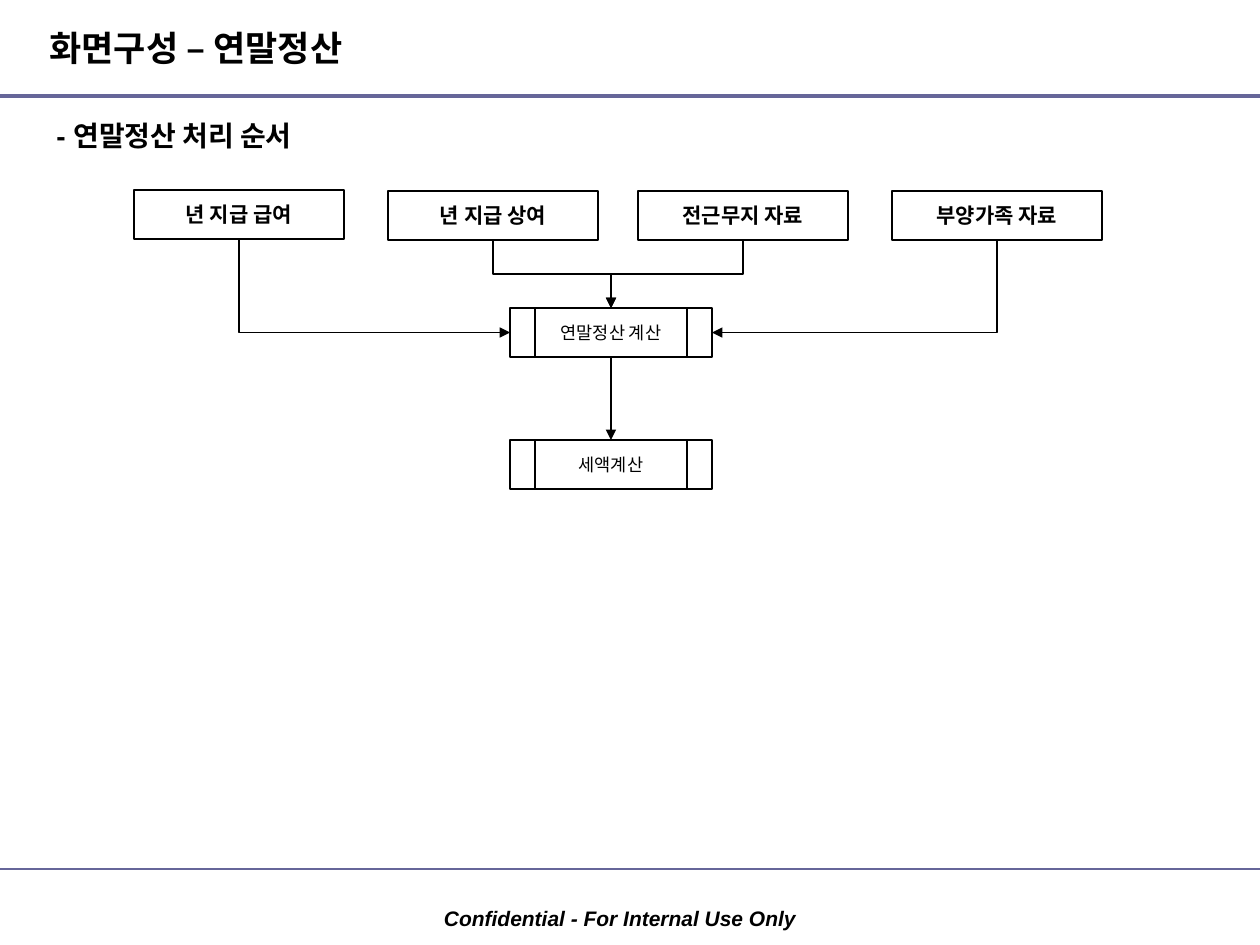
from dataclasses import dataclass

from lxml.etree import SubElement
from pptx import Presentation
from pptx.dml.color import RGBColor
from pptx.enum.shapes import MSO_CONNECTOR as Link, MSO_SHAPE as Preset
from pptx.enum.text import MSO_ANCHOR as Anchor, PP_ALIGN as Align
from pptx.oxml.ns import qn
from pptx.util import Emu, Pt

BLACK = RGBColor(0x00, 0x00, 0x00)
WHITE = RGBColor(0xFF, 0xFF, 0xFF)
RULE_PURPLE = RGBColor(0x66, 0x66, 0x99)
LATIN, KOREAN = "Arial", "Noto Sans CJK KR"
SLIDE_W, SLIDE_H = 1260, 945
TOP, LEFT, BOTTOM, RIGHT = range(4)  # connection sites of a box


def px(length: int) -> Emu:
    return Emu(round(length * 914400 / 126))


@dataclass(frozen=True)
class Label:
    text: str
    size: int
    font: str = LATIN
    bold: bool = True
    italic: bool = False


@dataclass(frozen=True)
class Area:
    left: int
    top: int
    width: int
    height: int

    def emu(self) -> tuple[Emu, ...]:
        return tuple(px(v) for v in (self.left, self.top, self.width, self.height))


@dataclass(frozen=True)
class Step:
    label: Label
    area: Area
    preset: Preset


@dataclass(frozen=True)
class Flow:
    source: str
    source_site: int
    target: str
    target_site: int
    geometry: str


def write(paragraph, label: Label) -> None:
    run = paragraph.add_run()
    run.text = label.text
    font = run.font
    font.name, font.size = label.font, Pt(label.size)
    font.bold, font.italic = label.bold, label.italic
    font.color.rgb = BLACK
    SubElement(font._element, qn("a:ea")).set("typeface", KOREAN)


def add_text(slide, area: Area, label: Label, anchor=Anchor.TOP):
    frame = slide.shapes.add_textbox(*area.emu()).text_frame
    frame.word_wrap = True
    frame.vertical_anchor = anchor
    write(frame.paragraphs[0], label)
    return frame


def add_step(slide, step: Step):
    box = slide.shapes.add_shape(step.preset, *step.area.emu())
    box.shadow.inherit = False
    box.fill.solid()
    box.fill.fore_color.rgb = WHITE
    box.line.color.rgb, box.line.width = BLACK, Pt(1)
    frame = box.text_frame
    frame.word_wrap = False
    frame.vertical_anchor = Anchor.MIDDLE
    frame.paragraphs[0].alignment = Align.CENTER
    write(frame.paragraphs[0], step.label)
    return box


def style_line(line, color: RGBColor, width: float) -> None:
    line.line.color.rgb, line.line.width = color, Pt(width)
    SubElement(line._element.spPr, qn("a:effectLst"))


def add_rule(slide, y: int, width: float) -> None:
    rule = slide.shapes.add_connector(Link.STRAIGHT, 0, px(y), px(SLIDE_W), px(y))
    style_line(rule, RULE_PURPLE, width)


def turn_downward(arrow, geometry: str) -> None:
    """Rotate an elbow so that it leaves its source vertically."""
    dx, dy = arrow.end_x - arrow.begin_x, arrow.end_y - arrow.begin_y
    middle_x = (arrow.begin_x + arrow.end_x) // 2
    middle_y = (arrow.begin_y + arrow.end_y) // 2
    arrow.width, arrow.height = Emu(dy), Emu(abs(dx))
    arrow.left, arrow.top = Emu(middle_x - dy // 2), Emu(middle_y - abs(dx) // 2)
    properties = arrow._element.spPr
    frame = properties.find(qn("a:xfrm"))
    frame.set("rot", str((270 if dx > 0 else 90) * 60000))
    frame.set("flipH", "1" if dx > 0 else "0")
    properties.find(qn("a:prstGeom")).set("prst", geometry)


def add_flow(slide, flow: Flow, boxes: dict) -> None:
    straight = flow.geometry == "line"
    arrow = slide.shapes.add_connector(Link.STRAIGHT if straight else Link.ELBOW, 0, 0, 0, 0)
    arrow.begin_connect(boxes[flow.source], flow.source_site)
    arrow.end_connect(boxes[flow.target], flow.target_site)
    if not straight:
        turn_downward(arrow, flow.geometry)
    style_line(arrow, BLACK, 1)
    SubElement(arrow.line._get_or_add_ln(), qn("a:tailEnd")).set("type", "triangle")


def input_step(text: str, left: int, top: int = 191) -> Step:
    return Step(Label(text, 12, KOREAN), Area(left, top, 210, 49), Preset.FLOWCHART_PROCESS)


def calculation_step(text: str, top: int) -> Step:
    return Step(Label(text, 10, KOREAN, bold=False), Area(510, top, 202, 49),
                Preset.FLOWCHART_PREDEFINED_PROCESS)


SALARY, BONUS, FORMER_JOB, FAMILY = "년 지급 급여", "년 지급 상여", "전근무지 자료", "부양가족 자료"
SETTLEMENT, TAX = "연말정산 계산", "세액계산"

STEPS = [
    input_step(SALARY, 134, 190),
    input_step(BONUS, 388),
    input_step(FORMER_JOB, 638),
    input_step(FAMILY, 892),
    calculation_step(SETTLEMENT, 308),
    calculation_step(TAX, 440),
]
FLOWS = [
    Flow(BONUS, BOTTOM, SETTLEMENT, TOP, "bentConnector3"),
    Flow(FORMER_JOB, BOTTOM, SETTLEMENT, TOP, "bentConnector3"),
    Flow(FAMILY, BOTTOM, SETTLEMENT, RIGHT, "bentConnector2"),
    Flow(SALARY, BOTTOM, SETTLEMENT, LEFT, "bentConnector2"),
    Flow(SETTLEMENT, BOTTOM, TAX, TOP, "line"),
]


def main() -> None:
    deck = Presentation()
    deck.slide_width, deck.slide_height = px(SLIDE_W), px(SLIDE_H)
    slide = deck.slides.add_slide(deck.slide_layouts[6])

    # Footer and rules
    footer = add_text(slide, Area(444, 906, 353, 25),
                      Label("Confidential - For Internal Use Only", 12, italic=True))
    footer.word_wrap = False
    footer.margin_left = footer.margin_right = footer.margin_top = footer.margin_bottom = 0
    add_rule(slide, 96, 2.25)
    add_rule(slide, 869, 1.5)

    # Title and heading
    add_text(slide, Area(37, 11, 1189, 73), Label("화면구성 – 연말정산", 20), Anchor.MIDDLE)
    add_text(slide, Area(44, 112, 1189, 50), Label("- 연말정산 처리 순서", 16))

    # Flow chart
    boxes = {step.label.text: add_step(slide, step) for step in STEPS}
    for flow in FLOWS:
        add_flow(slide, flow, boxes)

    deck.save("out.pptx")


if __name__ == "__main__":
    main()
